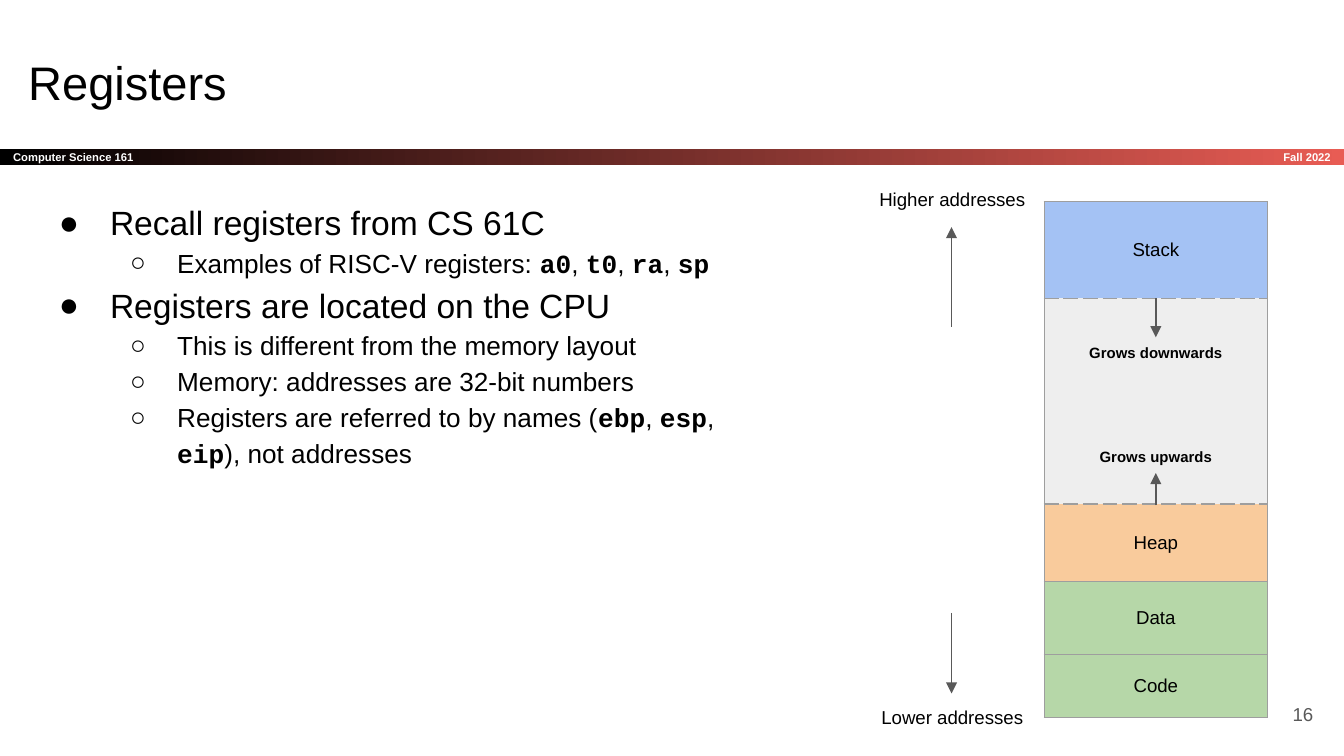
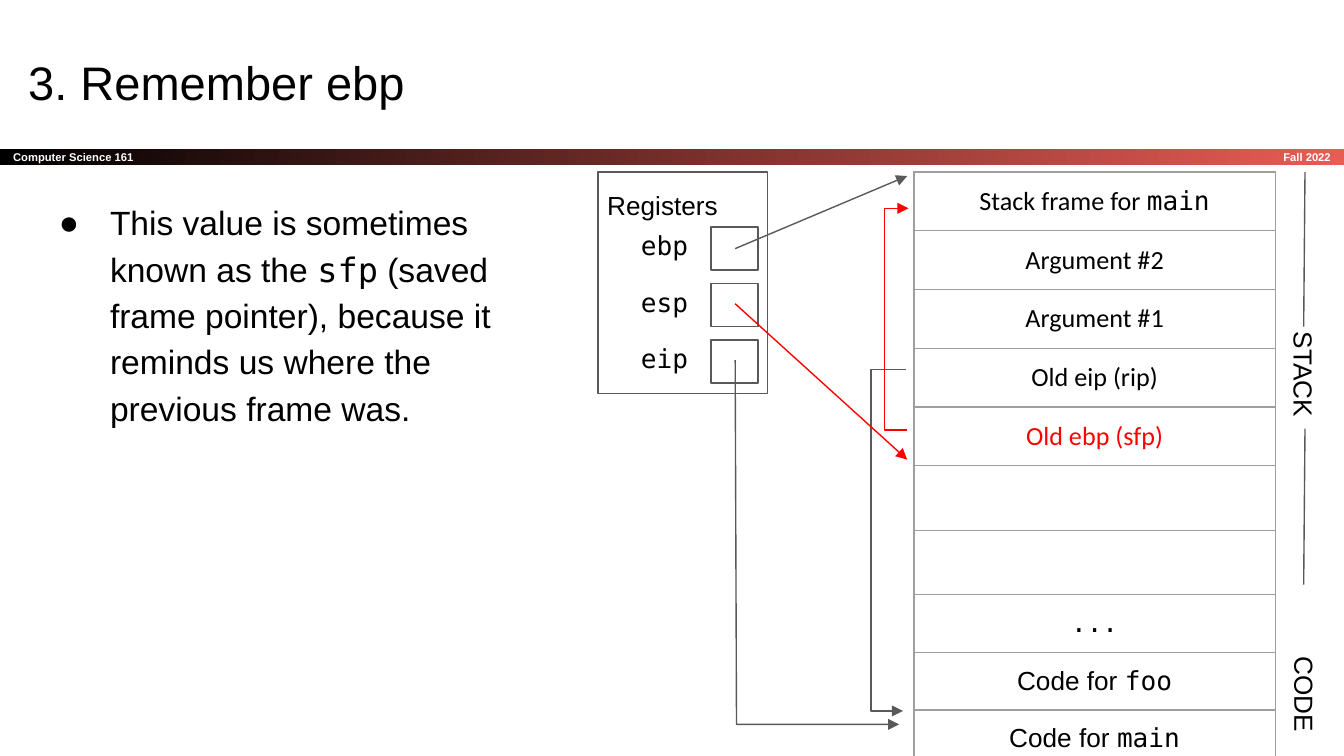
from dataclasses import dataclass
from typing import NamedTuple

from lxml.etree import SubElement
from pptx import Presentation
from pptx.dml.color import RGBColor
from pptx.enum.shapes import MSO_CONNECTOR, MSO_SHAPE
from pptx.enum.text import MSO_ANCHOR, MSO_AUTO_SIZE, PP_ALIGN
from pptx.oxml.ns import qn
from pptx.util import Emu, Pt

LEFT, CENTER, RIGHT = PP_ALIGN.LEFT, PP_ALIGN.CENTER, PP_ALIGN.RIGHT
TOP, MIDDLE = MSO_ANCHOR.TOP, MSO_ANCHOR.MIDDLE
NO_AUTOFIT = MSO_AUTO_SIZE.NONE
RECTANGLE = MSO_SHAPE.RECTANGLE
STRAIGHT = MSO_CONNECTOR.STRAIGHT
TITLE_ONLY = 5
EMU_PER_PX = 9144


class Face(NamedTuple):
    name: str
    bold: bool = False


@dataclass(frozen=True)
class Theme:
    text: str = "000000"
    inverse: str = "FFFFFF"
    line: str = "595959"
    border: str = "9E9E9E"
    accent: str = "FF0000"
    band_end: str = "E85C54"
    stack: str = "A4C2F4"
    free: str = "EEEEEE"
    heap: str = "F9CB9C"
    static: str = "B6D7A8"
    title_size: float = 25.2
    body_size: int = 18
    detail_size: int = 14
    label_size: int = 10
    note_size: int = 8
    band_size: int = 6
    line_width: float = 0.75
    body_spacing: float = 1.15
    sans: Face = Face("Arial")
    sans_bold: Face = Face("Arial", True)
    rounded: Face = Face("Calibri")
    mono: Face = Face("DejaVu Sans Mono")
    mono_bold: Face = Face("Courier New", True)


THEME = Theme()


class Frame(NamedTuple):
    left: int
    top: int
    width: int
    height: int


@dataclass(frozen=True)
class Style:
    size: float
    color: str = THEME.text
    face: Face = THEME.sans
    code_face: Face = THEME.mono
    align: int = CENTER
    anchor: int = TOP
    inset: int = 10


@dataclass(frozen=True)
class Label:
    text: str
    frame: Frame
    style: Style
    rotation: int = 0


class Bullet(NamedTuple):
    text: str
    level: int = 0


class BulletLevel(NamedTuple):
    symbol: str
    margin: int
    hanging: int
    size: int


class Row(NamedTuple):
    text: str
    height: int
    style: Style
    fill: str | None = None
    dashed_below: bool = False


class Route(NamedTuple):
    points: list[tuple[int, int]]
    color: str = THEME.line
    arrow: bool = True


BULLET_LEVELS = (
    BulletLevel("●", 50, 38, THEME.body_size),
    BulletLevel("○", 100, 35, THEME.detail_size),
)
BAND = Frame(0, 111, 1000, 12)
BAND_STYLE = Style(THEME.band_size, THEME.inverse, THEME.sans_bold, align=LEFT, anchor=MIDDLE)
TERM_STYLE = Style(THEME.band_size, THEME.inverse, THEME.sans_bold, align=RIGHT, anchor=MIDDLE)
TITLE_STYLE = Style(THEME.title_size, align=LEFT)
PAGE_STYLE = Style(THEME.label_size, THEME.line, align=RIGHT, anchor=MIDDLE)
ADDRESS_STYLE = Style(THEME.label_size)
GROWTH_STYLE = Style(THEME.note_size, face=THEME.sans_bold, inset=5)
REGION_STYLE = Style(THEME.label_size, anchor=MIDDLE, inset=5)
SIDE_STYLE = Style(THEME.detail_size)
REGISTER_STYLE = Style(THEME.detail_size, align=LEFT)
STACK_STYLE = Style(THEME.detail_size, face=THEME.rounded)
SAVED_STYLE = Style(THEME.detail_size, THEME.accent, THEME.rounded)
EMPTY_STYLE = Style(THEME.detail_size, inset=0)


def px(length: int) -> Emu:
    return Emu(length * EMU_PER_PX)


def place(frame: Frame) -> list[Emu]:
    return [px(length) for length in frame]


def rgb(color: str) -> RGBColor:
    return RGBColor.from_string(color)


def write_paragraph(para, text: str, style: Style) -> None:
    para.alignment = style.align
    for index, part in enumerate(text.split("`")):
        if part:
            span = para.add_run()
            span.text = part
            face = style.code_face if index % 2 else style.face
            span.font.name = face.name
            span.font.bold = face.bold
            span.font.size = Pt(style.size)
            span.font.color.rgb = rgb(style.color)


def prepare_text(text_frame, style: Style) -> None:
    text_frame.word_wrap = True
    text_frame.auto_size = NO_AUTOFIT
    text_frame.vertical_anchor = style.anchor
    text_frame.margin_left = text_frame.margin_right = px(style.inset)
    text_frame.margin_top = text_frame.margin_bottom = px(style.inset)


def write_box(box, text: str, style: Style) -> None:
    prepare_text(box.text_frame, style)
    write_paragraph(box.text_frame.paragraphs[0], text, style)


def add_label(page, label: Label) -> None:
    box = page.shapes.add_textbox(*place(label.frame))
    box.rotation = label.rotation
    write_box(box, label.text, label.style)


def add_bullets(page, frame: Frame, bullets: list[Bullet], code_face: Face) -> None:
    box = page.shapes.add_textbox(*place(frame))
    prepare_text(box.text_frame, Style(THEME.body_size))
    for index, bullet in enumerate(bullets):
        para = box.text_frame.add_paragraph() if index else box.text_frame.paragraphs[0]
        level = BULLET_LEVELS[bullet.level]
        para.level = bullet.level
        para.line_spacing = THEME.body_spacing
        properties = para._p.get_or_add_pPr()
        properties.set("marL", str(px(level.margin)))
        properties.set("indent", str(px(-level.hanging)))
        color = SubElement(properties, qn("a:buClr"))
        SubElement(color, qn("a:srgbClr"), val=THEME.text)
        SubElement(properties, qn("a:buFont"), typeface=THEME.sans.name)
        SubElement(properties, qn("a:buChar"), char=level.symbol)
        write_paragraph(para, bullet.text, Style(level.size, code_face=code_face, align=LEFT))


def set_line(shape, color: str) -> None:
    shape.line.color.rgb = rgb(color)
    shape.line.width = Pt(THEME.line_width)


def add_outline(page, frame: Frame) -> None:
    box = page.shapes.add_shape(RECTANGLE, *place(frame))
    box.shadow.inherit = False
    box.fill.background()
    set_line(box, THEME.line)


def add_route(page, route: Route) -> None:
    points = [(px(x), px(y)) for x, y in route.points]
    straight = len(points) == 2
    if straight:
        shape = page.shapes.add_connector(STRAIGHT, *points[0], *points[1])
    else:
        builder = page.shapes.build_freeform(*points[0])
        builder.add_line_segments(points[1:], close=False)
        shape = builder.convert_to_shape()
        shape.shadow.inherit = False
        shape.fill.background()
    set_line(shape, route.color)
    properties = shape.element.spPr
    if route.arrow:
        SubElement(properties.find(qn("a:ln")), qn("a:tailEnd"), type="triangle")
    if straight:
        SubElement(properties, qn("a:effectLst"))


def set_borders(cell, dashed_sides: set[str]) -> None:
    properties = cell._tc.get_or_add_tcPr()
    for index, side in enumerate(("lnL", "lnR", "lnT", "lnB")):
        border = SubElement(properties, qn(f"a:{side}"), w=str(Pt(THEME.line_width)))
        fill = SubElement(border, qn("a:solidFill"))
        SubElement(fill, qn("a:srgbClr"), val=THEME.border)
        SubElement(border, qn("a:prstDash"), val="dash" if side in dashed_sides else "solid")
        properties.insert(index, border)


def add_column(page, left: int, top: int, width: int, rows: list[Row]) -> None:
    frame = Frame(left, top, width, sum(row.height for row in rows))
    table = page.shapes.add_table(len(rows), 1, *place(frame)).table
    table.first_row = table.horz_banding = False
    dashed_above = False
    for index, row in enumerate(rows):
        table.rows[index].height = px(row.height)
        cell = table.cell(index, 0)
        cell.margin_left = cell.margin_right = px(row.style.inset)
        cell.margin_top = cell.margin_bottom = px(row.style.inset)
        cell.vertical_anchor = row.style.anchor
        write_paragraph(cell.text_frame.paragraphs[0], row.text, row.style)
        if row.fill:
            cell.fill.solid()
            cell.fill.fore_color.rgb = rgb(row.fill)
        else:
            cell.fill.background()
        sides = {"lnT": dashed_above, "lnB": row.dashed_below}
        set_borders(cell, {side for side, dashed in sides.items() if dashed})
        dashed_above = row.dashed_below


def add_page(deck, title: str):
    page = deck.slides.add_slide(deck.slide_layouts[TITLE_ONLY])
    band = page.shapes.add_shape(RECTANGLE, *place(BAND))
    band.shadow.inherit = False
    band.line.fill.background()
    band.fill.gradient()
    band.fill.gradient_angle = 0
    for stop, color in zip(band.fill.gradient_stops, (THEME.text, THEME.band_end)):
        stop.color.rgb = rgb(color)
    write_box(band, "Computer Science 161", BAND_STYLE)
    add_label(page, Label("Fall 2022", Frame(834, BAND.top, 166, BAND.height), TERM_STYLE))
    heading = page.shapes.title
    heading.left, heading.top, heading.width, heading.height = place(Frame(11, 30, 932, 63))
    write_box(heading, title, TITLE_STYLE)
    return page


def build_registers(deck) -> None:
    page = add_page(deck, "Registers")
    add_bullets(page, Frame(22, 136, 562, 412), [
        Bullet("Recall registers from CS 61C"),
        Bullet("Examples of RISC-V registers: `a0`, `t0`, `ra`, `sp`", 1),
        Bullet("Registers are located on the CPU"),
        Bullet("This is different from the memory layout", 1),
        Bullet("Memory: addresses are 32-bit numbers", 1),
        Bullet("Registers are referred to by names (`ebp`, `esp`, `eip`), not addresses", 1),
    ], THEME.mono_bold)
    add_column(page, 777, 150, 166, [
        Row("Stack", 72, REGION_STYLE, THEME.stack, True),
        Row("", 153, REGION_STYLE, THEME.free, True),
        Row("Heap", 58, REGION_STYLE, THEME.heap),
        Row("Data", 54, REGION_STYLE, THEME.static),
        Row("Code", 47, REGION_STYLE, THEME.static),
    ])
    for x, start, end in ((708, 243, 169), (708, 456, 516), (860, 222, 251), (860, 376, 352)):
        add_route(page, Route([(x, start), (x, end)]))
    for text, top in (("Higher addresses", 130), ("Lower addresses", 515)):
        add_label(page, Label(text, Frame(640, top, 137, 37), ADDRESS_STYLE))
    for text, top in (("Grows downwards", 251), ("Grows upwards", 328)):
        add_label(page, Label(text, Frame(804, top, 112, 24), GROWTH_STYLE))
    add_label(page, Label("16", Frame(927, 510, 60, 43), PAGE_STYLE))


def build_saved_pointer(deck) -> None:
    page = add_page(deck, "3. Remember ebp")
    add_bullets(page, Frame(22, 136, 399, 412), [
        Bullet("This value is sometimes known as the `sfp` (saved frame pointer), "
               "because it reminds us where the previous frame was."),
    ], THEME.mono)
    stack = ["Stack frame for `main`", "Argument #2", "Argument #1", "Old eip (rip)"]
    code = ["`...`", "Code for `foo`", "Code for `main`"]
    add_column(page, 680, 128, 269, [
        *(Row(text, 42, STACK_STYLE) for text in stack),
        Row("Old ebp (sfp)", 42, SAVED_STYLE),
        *[Row("", 48, EMPTY_STYLE)] * 2,
        *(Row(text, 42, SIDE_STYLE) for text in code),
    ])
    add_label(page, Label("CODE", Frame(928, 495, 86, 43), SIDE_STYLE, 90))
    add_label(page, Label("STACK", Frame(819, 257, 303, 43), SIDE_STYLE, 90))
    add_outline(page, Frame(445, 128, 126, 165))
    add_label(page, Label("Registers", Frame(442, 131, 126, 40), REGISTER_STYLE))
    for index, name in enumerate(("ebp", "esp", "eip")):
        top = 169 + 42 * index
        add_outline(page, Frame(529, top, 35, 32))
        add_label(page, Label(f"`{name}`", Frame(467, top - 8, 57, 32), REGISTER_STYLE))
    for route in (
        Route([(971, 128), (970, 243)], arrow=False),
        Route([(971, 319), (970, 435)], arrow=False),
        Route([(547, 185), (675, 131)]),
        Route([(547, 268), (548, 539), (669, 539)]),
        Route([(674, 275), (648, 275), (648, 529), (672, 529)]),
        Route([(547, 226), (675, 342)], THEME.accent),
        Route([(675, 320), (658, 320), (658, 155), (676, 155)], THEME.accent),
    ):
        add_route(page, route)


def main() -> None:
    deck = Presentation()
    deck.slide_width = px(1000)
    deck.slide_height = deck.slide_width * 9 // 16
    build_registers(deck)
    build_saved_pointer(deck)
    deck.save("out.pptx")


if __name__ == "__main__":
    main()
